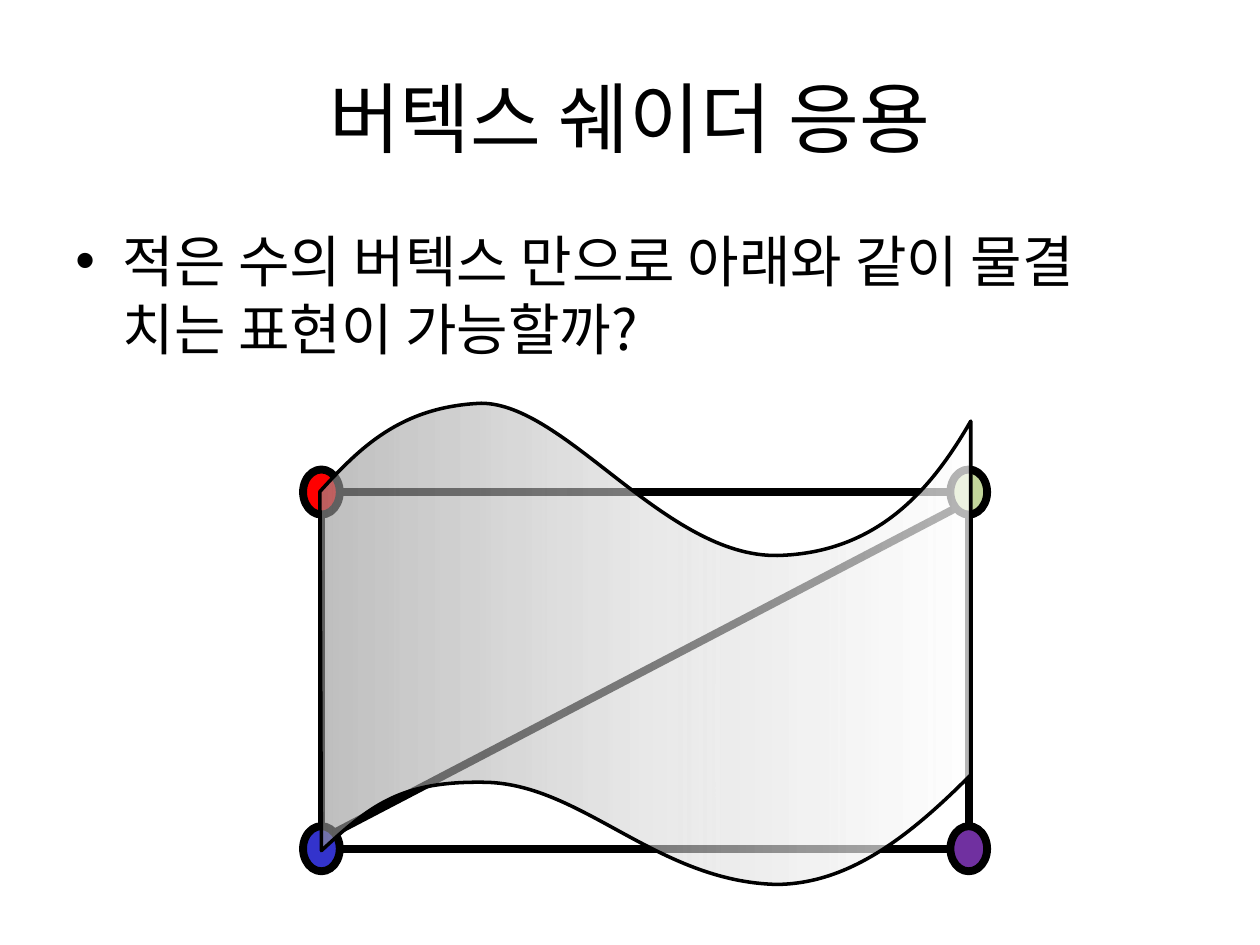
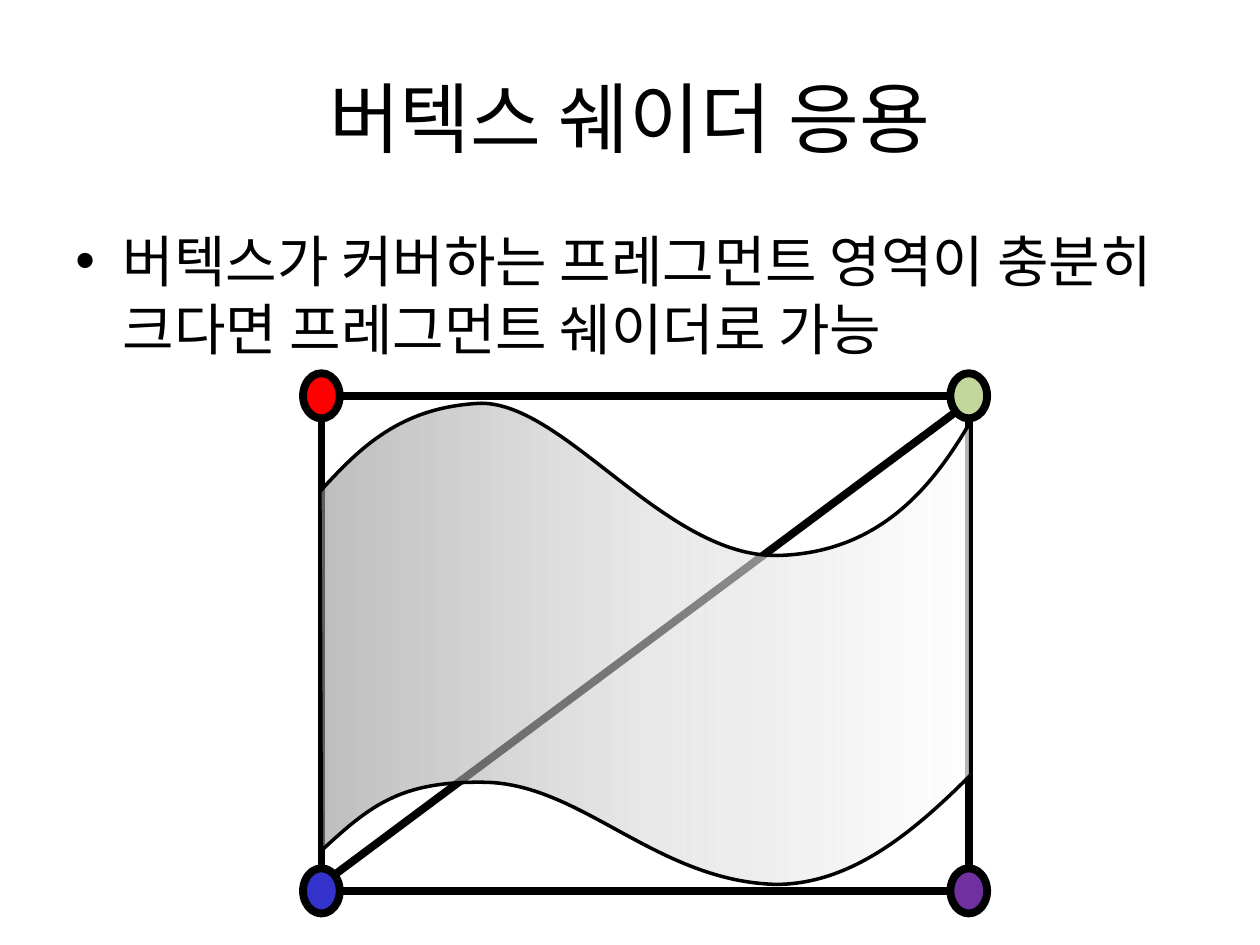
from lxml import etree
from pptx import Presentation
from pptx.dml.color import RGBColor
from pptx.enum.shapes import MSO_CONNECTOR, MSO_SHAPE
from pptx.enum.text import MSO_ANCHOR, PP_ALIGN
from pptx.oxml.ns import qn
from pptx.util import Cm, Pt

OVAL = MSO_SHAPE.OVAL
LINE = MSO_CONNECTOR.STRAIGHT
MIDDLE = MSO_ANCHOR.MIDDLE
LEFT = PP_ALIGN.LEFT
CENTER = PP_ALIGN.CENTER
FONT = "Noto Sans CJK KR"
HUES = {
    "ink": "000000", "red": "FF0000", "blue": "3333CC",
    "green": "C3D69B", "violet": "7030A0",
    "dark": "979797", "mid": "D7D7D7", "light": "FFFFFF",
}
FADE = [(0, "dark", 62), (50, "mid", 56), (100, "light", 71)]
SIDES = (6.48, 19.53)
DOT_W, DOT_H = 0.74, 0.91
DIAG = 0.71

START = (6.45, 9.91)
WAVE = [
    [(7.26, 9.02), (8.08, 8.2), (9.7, 8.13)],
    [(11.4, 8.13), (13.41, 11.23), (15.67, 11.2)],
    [(17.68, 11.15), (18.77, 9.88), (19.57, 8.49)],
    [(19.57, 15.62)],
    [(18.26, 16.94), (17.07, 17.81), (15.67, 17.83)],
    [(13.23, 17.78), (11.71, 15.77), (9.73, 15.77)],
    [(8.08, 15.75), (7.47, 16.23), (6.48, 17.15)],
]
EDGES = [
    ("red", (1, 0), "green", (-1, 0)),
    ("red", (0, 1), "blue", (0, -1)),
    ("green", (0, 1), "violet", (0, -1)),
    ("blue", (1, 0), "violet", (-1, 0)),
    ("green", (-DIAG, DIAG), "blue", (DIAG, -DIAG)),
]
TITLE = "버텍스 쉐이더 응용"
PAGES = [
    ("적은 수의 버텍스 만으로 아래와 같이 물결 치는 표현이 가능할까?", 9.92, 17.11, True),
    ("버텍스가 커버하는 프레그먼트 영역이 충분히 크다면 프레그먼트 쉐이더로 가능", 7.98, 17.96, False),
]


def hue(name):
    return RGBColor.from_string(HUES[name])


def write(frame, text, size, align):
    frame.word_wrap = True
    para = frame.paragraphs[0]
    para.text = text
    para.alignment = align
    para.font.name = FONT
    para.font.size = Pt(size)
    para.font.color.rgb = hue("ink")
    return para


def head(slide):
    title = slide.shapes.title
    title.left, title.top = Cm(1.27), Cm(0.76)
    title.width, title.height = Cm(22.86), Cm(3.18)
    title.text_frame.vertical_anchor = MIDDLE
    write(title.text_frame, TITLE, 44, CENTER)


def point(slide, text):
    box = slide.shapes.add_textbox(Cm(1.27), Cm(4.45), Cm(22.86), Cm(12.57))
    para = write(box.text_frame, text, 32, LEFT)
    para.space_before = Pt(6.4)
    props = para._p.get_or_add_pPr()
    props.set("marL", str(Cm(0.95)))
    props.set("indent", str(-Cm(0.95)))
    font = etree.Element(qn("a:buFont"), typeface="Arial")
    mark = etree.Element(qn("a:buChar"), char="•")
    last = props.find(qn("a:defRPr"))
    last.addprevious(font)
    last.addprevious(mark)


def stroke(line, width):
    line.color.rgb = hue("ink")
    line.width = Pt(width)


def dot(shapes, x, y, name):
    oval = shapes.add_shape(OVAL, Cm(x - DOT_W / 2), Cm(y - DOT_H / 2), Cm(DOT_W), Cm(DOT_H))
    oval.shadow.inherit = False
    oval.fill.solid()
    oval.fill.fore_color.rgb = hue(name)
    stroke(oval.line, 4.5)


def rim(spot, way):
    return Cm(spot[0] + way[0] * DOT_W / 2), Cm(spot[1] + way[1] * DOT_H / 2)


def edge(shapes, first, last):
    link = shapes.add_connector(LINE, *first, *last)
    stroke(link.line, 4.5)
    etree.SubElement(link._element.spPr, qn("a:effectLst"))


def mesh(shapes, top, base):
    left, right = SIDES
    spots = {"red": (left, top), "blue": (left, base),
             "green": (right, top), "violet": (right, base)}
    for name, (x, y) in spots.items():
        dot(shapes, x, y, name)
    for one, out, two, back in EDGES:
        edge(shapes, rim(spots[one], out), rim(spots[two], back))


def bend(shape):
    nodes = list(shape._element.iter(qn("a:lnTo")))
    for node, curve in zip(nodes, WAVE):
        if len(curve) == 1:
            continue
        node.tag = qn("a:cubicBezTo")
        for i, (x, y) in enumerate(curve[:-1]):
            spot = etree.Element(qn("a:pt"), x=str(Cm(x) - shape.left), y=str(Cm(y) - shape.top))
            node.insert(i, spot)


def fade(shape):
    shape.fill.gradient()
    shape.fill.gradient_angle = 0
    stops = next(shape._element.iter(qn("a:gsLst")))
    for old in list(stops):
        stops.remove(old)
    for place, name, alpha in FADE:
        stop = etree.SubElement(stops, qn("a:gs"), pos=str(place * 1000))
        tint = etree.SubElement(stop, qn("a:srgbClr"), val=HUES[name])
        etree.SubElement(tint, qn("a:alpha"), val=str(alpha * 1000))


def wave(shapes):
    pen = shapes.build_freeform(Cm(START[0]), Cm(START[1]))
    ends = [curve[-1] for curve in WAVE]
    pen.add_line_segments([(Cm(x), Cm(y)) for x, y in ends], close=True)
    shape = pen.convert_to_shape()
    shape.shadow.inherit = False
    bend(shape)
    fade(shape)
    stroke(shape.line, 2)


def main():
    deck = Presentation()
    deck.slide_width, deck.slide_height = Cm(25.4), Cm(19.05)
    for text, top, base, joined in PAGES:
        slide = deck.slides.add_slide(deck.slide_layouts[5])
        head(slide)
        point(slide, text)
        shapes = slide.shapes
        mesh(shapes.add_group_shape().shapes if joined else shapes, top, base)
        wave(shapes)
    deck.save("out.pptx")


main()
